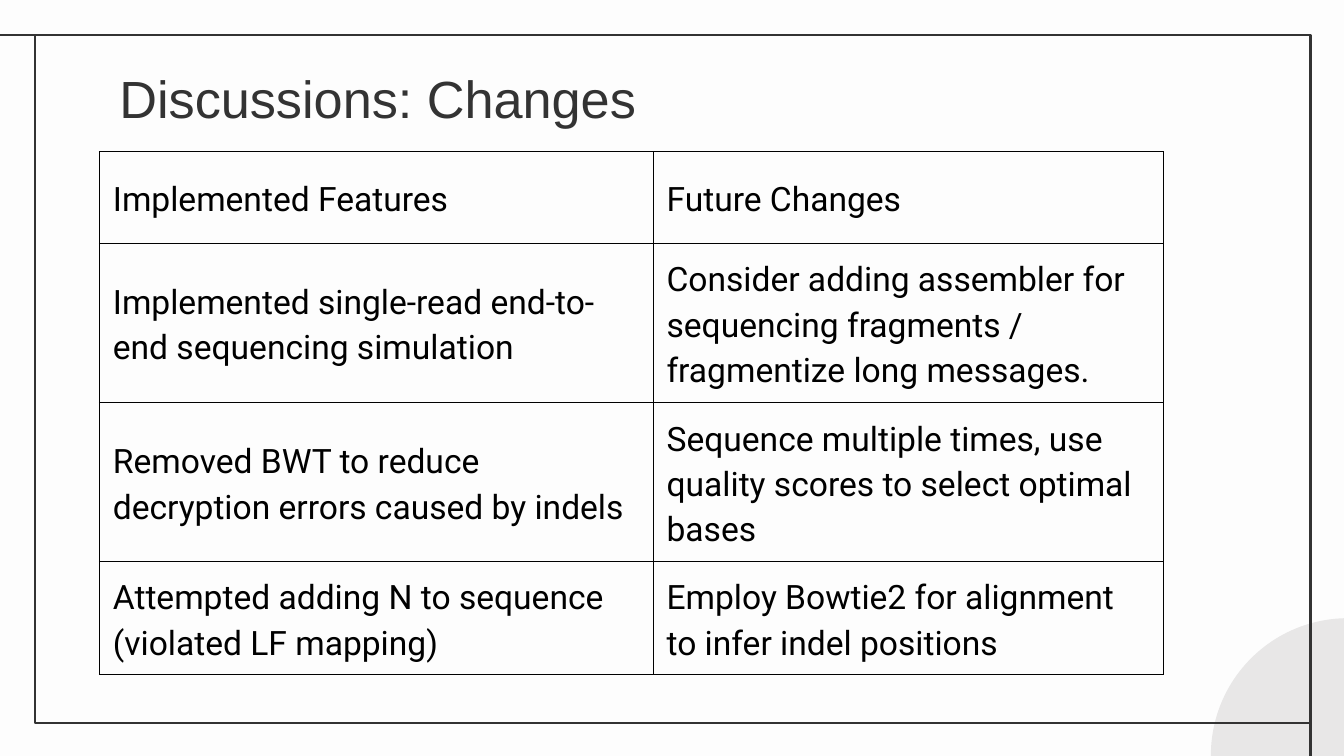
from typing import NamedTuple

from lxml.etree import SubElement
from pptx import Presentation
from pptx.dml.color import RGBColor
from pptx.enum.shapes import MSO_CONNECTOR, MSO_SHAPE
from pptx.enum.text import MSO_ANCHOR
from pptx.oxml.ns import qn
from pptx.slide import Slide
from pptx.table import _Cell
from pptx.text.text import _Paragraph
from pptx.util import Inches, Pt

PAPER = RGBColor(0xFD, 0xFD, 0xFD)
INK = RGBColor(0x33, 0x33, 0x33)
PALE_GREY = RGBColor(0xE8, 0xE7, 0xE7)
BLACK = RGBColor(0, 0, 0)
FRAME_WIDTH = Pt(1.5)


class Line(NamedTuple):
    x1: float
    y1: float
    x2: float
    y2: float


class Change(NamedTuple):
    implemented: str
    future: str


FRAME_LINES = [Line(0.26, 0.26, -0.02, 0.26), Line(9.75, 5.38, 9.75, 5.75)]
COLUMN_WIDTHS = [4.12, 3.8]
ROW_HEIGHT = 0.68
CHANGES = [
    Change("Implemented Features", "Future Changes"),
    Change("Implemented single-read end-to-end sequencing simulation",
           "Consider adding assembler for sequencing fragments / fragmentize long messages."),
    Change("Removed BWT to reduce decryption errors caused by indels",
           "Sequence multiple times, use quality scores to select optimal bases"),
    Change("Attempted adding N to sequence (violated LF mapping)",
           "Employ Bowtie2 for alignment to infer indel positions"),
]


def format_runs(p: _Paragraph, font: str, size: int, color: RGBColor) -> None:
    for r in p.runs:
        r.font.name = font
        r.font.size = Pt(size)
        r.font.color.rgb = color


def draw_frame(slide: Slide) -> None:
    """Draw the corner disc, the border and the two lines that run off it."""
    disc = slide.shapes.add_shape(
        MSO_SHAPE.OVAL, Inches(9.01), Inches(4.6), Inches(2.04), Inches(2.04))
    disc.shadow.inherit = False
    disc.fill.solid()
    disc.fill.fore_color.rgb = PALE_GREY
    disc.line.fill.background()

    border = slide.shapes.add_shape(
        MSO_SHAPE.RECTANGLE, Inches(0.26), Inches(0.26), Inches(9.49), Inches(5.12))
    border.shadow.inherit = False
    border.fill.background()
    border.line.color.rgb = INK
    border.line.width = FRAME_WIDTH

    for line in FRAME_LINES:
        connector = slide.shapes.add_connector(
            MSO_CONNECTOR.STRAIGHT, *(Inches(value) for value in line))
        connector.line.color.rgb = INK
        connector.line.width = FRAME_WIDTH
        SubElement(connector._element.spPr, qn("a:effectLst"))


def draw_title(slide: Slide, text: str) -> None:
    sp = slide.shapes.add_textbox(Inches(0.79), Inches(0.39), Inches(8.43), Inches(0.63))
    tf = sp.text_frame
    tf.word_wrap = True
    tf.margin_left = tf.margin_right = Inches(0.1)
    tf.margin_top = tf.margin_bottom = Inches(0.1)
    tf.text = text
    format_runs(tf.paragraphs[0], "Arial", 28, INK)


def set_borders(cell: _Cell, color: RGBColor, width: Pt) -> None:
    properties = cell._tc.get_or_add_tcPr()
    for position, side in enumerate(("lnL", "lnR", "lnT", "lnB")):
        edge = properties.makeelement(qn(f"a:{side}"), {"w": str(int(width))})
        fill = SubElement(edge, qn("a:solidFill"))
        SubElement(fill, qn("a:srgbClr"), val=str(color))
        properties.insert(position, edge)


def fill_cell(cell: _Cell, text: str) -> None:
    cell.fill.background()
    cell.vertical_anchor = MSO_ANCHOR.MIDDLE
    cell.margin_left = cell.margin_right = Inches(0.1)
    cell.margin_top = cell.margin_bottom = Pt(5.4)
    cell.text = text
    p = cell.text_frame.paragraphs[0]
    p.line_spacing = 1.15
    format_runs(p, "Roboto", 18, BLACK)
    set_borders(cell, BLACK, Pt(0.75))


def draw_changes(slide: Slide) -> None:
    table = slide.shapes.add_table(
        len(CHANGES), len(COLUMN_WIDTHS), Inches(0.74), Inches(1.13),
        Inches(sum(COLUMN_WIDTHS)), Inches(ROW_HEIGHT * len(CHANGES))).table
    table.first_row = False
    table.horz_banding = False
    for column, width in zip(table.columns, COLUMN_WIDTHS):
        column.width = Inches(width)
    for row, change in zip(table.rows, CHANGES):
        row.height = Inches(ROW_HEIGHT)
        for cell, text in zip(row.cells, change):
            fill_cell(cell, text)


def main() -> None:
    prs = Presentation()
    prs.slide_width = Inches(10)
    prs.slide_height = prs.slide_width * 9 // 16
    slide = prs.slides.add_slide(prs.slide_layouts[6])
    slide.background.fill.solid()
    slide.background.fill.fore_color.rgb = PAPER
    draw_frame(slide)
    draw_title(slide, "Discussions: Changes")
    draw_changes(slide)
    prs.save("out.pptx")


if __name__ == "__main__":
    main()
